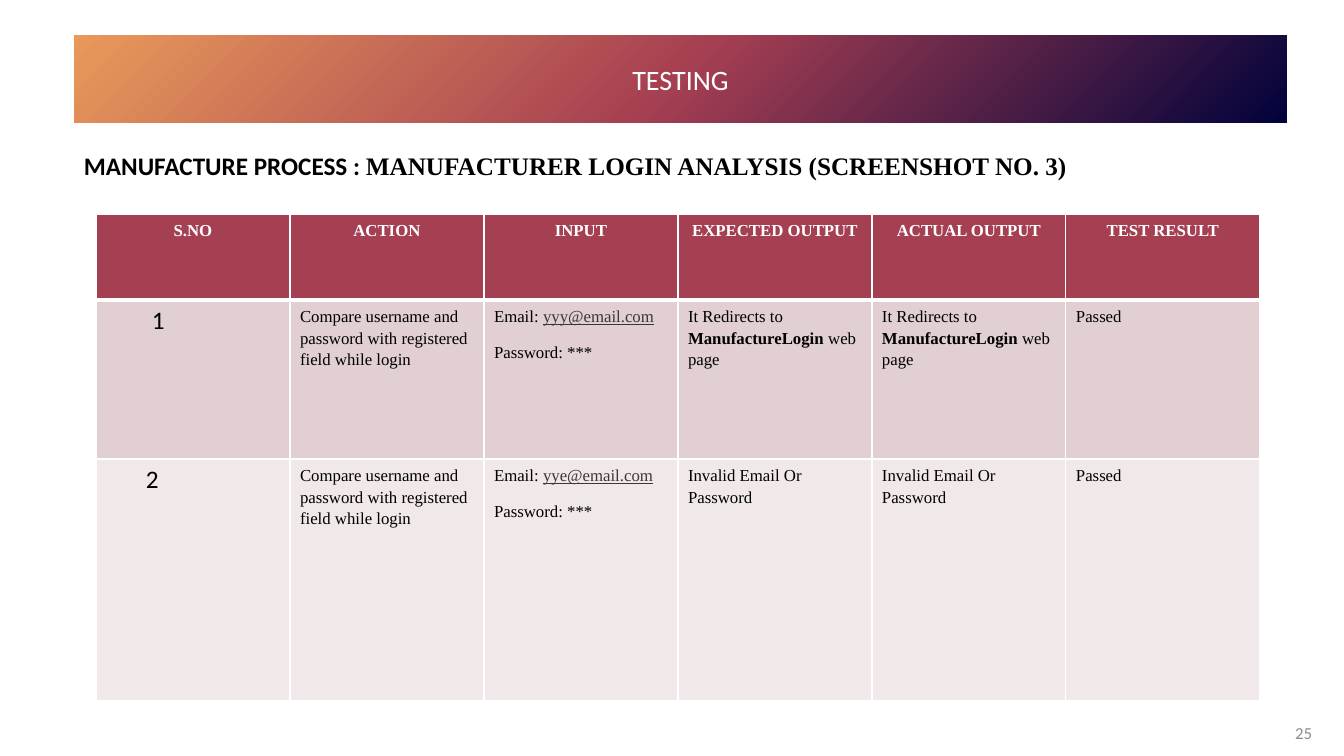
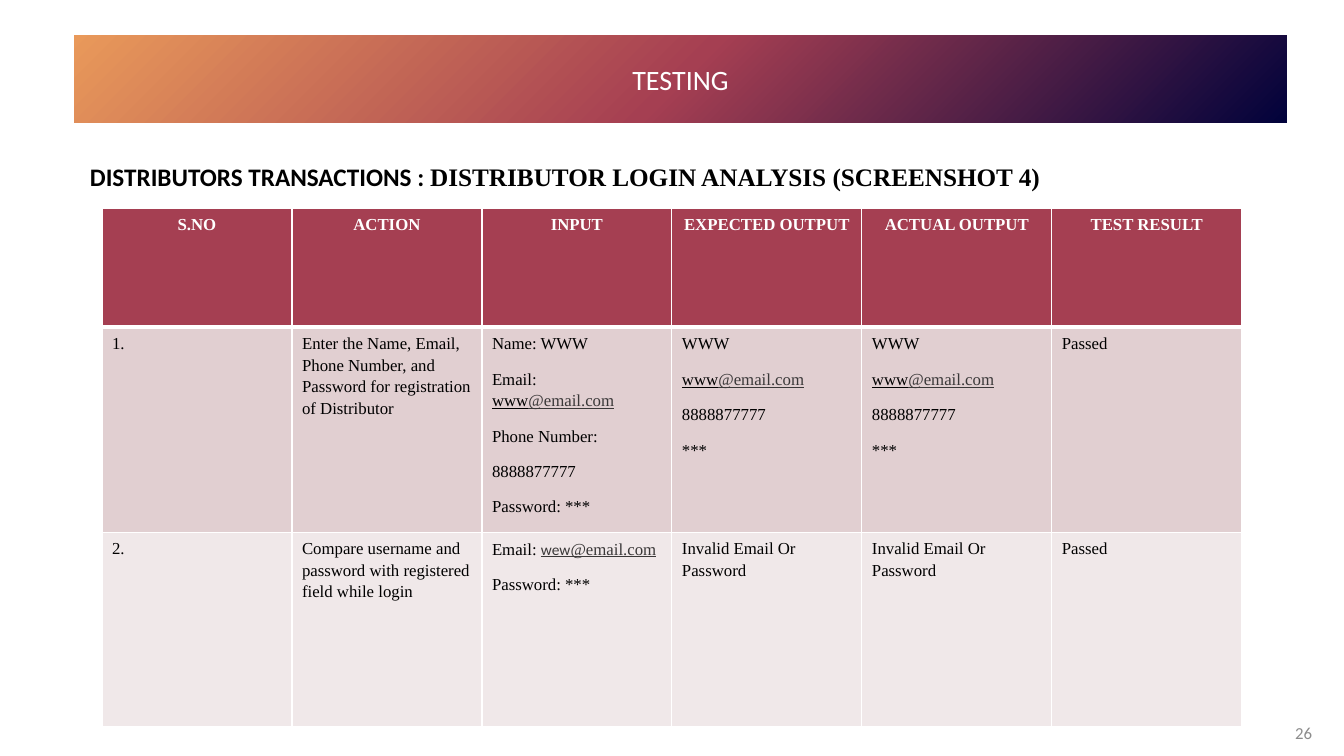
from pptx import Presentation
from pptx.dml.color import RGBColor
from pptx.enum.text import MSO_ANCHOR, PP_ALIGN
from pptx.oxml import parse_xml
from pptx.oxml.ns import nsdecls
from pptx.util import Pt

CENTER, LEFT, RIGHT = PP_ALIGN.CENTER, PP_ALIGN.LEFT, PP_ALIGN.RIGHT
MIDDLE = MSO_ANCHOR.MIDDLE
TITLE_ONLY_LAYOUT = 5

EMU_PER_PX = 914400 / 100.8
SANS, SERIF = "Calibri", "Times New Roman"
BLACK, WHITE, GRAY, LINK_GRAY = "000000", "FFFFFF", "8C8C8C", "3A3838"
NAVY, CRIMSON, ORANGE = "01023B", "A53F52", "E9995A"
BODY_FILLS = ("E1CFD1", "F0E8E9")

HEADERS = ("S.NO", "ACTION", "INPUT", "EXPECTED OUTPUT", "ACTUAL OUTPUT", "TEST RESULT")
LINK = {"color": LINK_GRAY, "underline": True}
UNDERLINED = {"underline": True}
BOLD = {"bold": True}

# A cell is a list of paragraphs, a paragraph a list of (text, format) runs.
COMPARE = [[("Compare username and password with registered field while login", {})]]
PASSED = [[("Passed", {})]]
INVALID = [[("Invalid Email Or Password", {})]]
REDIRECTS = [[("It Redirects to ", {}), ("ManufactureLogin", BOLD), (" web page", {})]]
PASSWORD = [("Password: ***", {})]
DISTRIBUTOR_EMAIL = [("www", UNDERLINED), ("@email.com", LINK)]
DISTRIBUTOR_OUTPUT = [[("WWW", {})], DISTRIBUTOR_EMAIL, [("8888877777", {})], [("***", {})]]

MANUFACTURER_ROWS = [
    [[[("1", {})]], COMPARE, [[("Email: ", {}), ("yyy@email.com", LINK)], PASSWORD],
     REDIRECTS, REDIRECTS, PASSED],
    [[[("2", {})]], COMPARE, [[("Email: ", {}), ("yye@email.com", LINK)], PASSWORD],
     INVALID, INVALID, PASSED],
]
DISTRIBUTOR_ROWS = [
    [[[("1.", {})]],
     [[("Enter the Name, Email, Phone Number, and Password for registration of Distributor", {})]],
     [[("Name: WWW", {})], [("Email: ", {})] + DISTRIBUTOR_EMAIL, [("Phone Number:", {})],
      [("8888877777", {})], PASSWORD],
     DISTRIBUTOR_OUTPUT, DISTRIBUTOR_OUTPUT, PASSED],
    [[[("2.", {})]], COMPARE,
     [[("Email: ", {}), ("wew", {**LINK, "name": SANS, "size": 11}), ("@email.com", LINK)],
      PASSWORD],
     INVALID, INVALID, PASSED],
]


def px(length):
    return round(length * EMU_PER_PX)


def rgb(color):
    return RGBColor.from_string(color)


def format_font(font, name=None, size=None, color=None, bold=None, underline=None):
    """Set only the font properties that are given."""
    if name:
        font.name = name
    if size:
        font.size = Pt(size)
    if color:
        font.color.rgb = rgb(color)
    if bold is not None:
        font.bold = bold
    if underline is not None:
        font.underline = underline


def write_paragraph(paragraph, runs, align=LEFT, **font_format):
    paragraph.alignment = align
    format_font(paragraph.font, **font_format)
    for text, run_format in runs:
        run = paragraph.add_run()
        run.text = text
        format_font(run.font, **run_format)


def add_title(slide, text):
    """Fill the title placeholder as the gradient band."""
    title = slide.shapes.title
    title.left, title.top, title.width, title.height = map(px, (74, 35, 1213, 88))
    stops = "".join(
        f'<a:gs pos="{position}"><a:srgbClr val="{color}"/></a:gs>'
        for position, color in ((0, NAVY), (50000, CRIMSON), (100000, ORANGE)))
    title.element.spPr.append(parse_xml(
        f'<a:gradFill {nsdecls("a")} rotWithShape="1"><a:gsLst>{stops}</a:gsLst>'
        '<a:path path="circle"><a:fillToRect l="100000" t="100000"/></a:path>'
        '<a:tileRect r="-100000" b="-100000"/></a:gradFill>'))
    title.text_frame.vertical_anchor = MIDDLE
    write_paragraph(title.text_frame.paragraphs[0], [(text, {})], CENTER,
                    name=SANS, size=20, color=WHITE)


def add_text(slide, box, runs, align=LEFT, anchor=None, **font_format):
    frame = slide.shapes.add_textbox(*map(px, box)).text_frame
    frame.word_wrap = True
    frame.vertical_anchor = anchor
    write_paragraph(frame.paragraphs[0], runs, align, **font_format)


def add_heading(slide, left, top, process, analysis):
    add_text(slide, (left, top, 1213, 40),
             [(process + " : ", {"name": SANS}), (analysis, {"name": SERIF})],
             size=18, color=BLACK, bold=True)


def style_cell(cell, fill, bottom_width=1):
    properties = cell._tc.get_or_add_tcPr()
    for side, width in (("L", 1), ("R", 1), ("T", 1), ("B", bottom_width)):
        properties.append(parse_xml(
            f'<a:ln{side} {nsdecls("a")} w="{Pt(width)}"><a:solidFill>'
            f'<a:srgbClr val="{WHITE}"/></a:solidFill></a:ln{side}>'))
    cell.fill.solid()
    cell.fill.fore_color.rgb = rgb(fill)


def write_cell(cell, paragraphs, align=LEFT, **font_format):
    frame = cell.text_frame
    for index, runs in enumerate(paragraphs):
        paragraph = frame.add_paragraph() if index else frame.paragraphs[0]
        paragraph.line_spacing = 1.15
        paragraph.space_after = Pt(10)
        write_paragraph(paragraph, runs, align,
                        **{"name": SERIF, "size": 12, "color": BLACK, "bold": False, **font_format})


def add_test_table(slide, left, top, column_width, row_heights, rows):
    frame = slide.shapes.add_table(
        len(row_heights), len(HEADERS), px(left), px(top),
        px(column_width * len(HEADERS)), px(sum(row_heights)))
    table = frame.table
    table.horz_banding = False
    for column in table.columns:
        column.width = px(column_width)
    for row, height in zip(table.rows, row_heights):
        row.height = px(height)
    for column, header in enumerate(HEADERS):
        cell = table.cell(0, column)
        style_cell(cell, CRIMSON, bottom_width=3)
        write_cell(cell, [[(header, {})]], CENTER, color=WHITE, bold=True)
    for row, (contents, fill) in enumerate(zip(rows, BODY_FILLS), start=1):
        for column, paragraphs in enumerate(contents):
            cell = table.cell(row, column)
            style_cell(cell, fill)
            write_cell(cell, paragraphs)
    return table


def enlarge_serial_numbers(table, indents):
    for row, indent in enumerate(indents, start=1):
        cell = table.cell(row, 0)
        cell.margin_left = px(indent)
        paragraph = cell.text_frame.paragraphs[0]
        paragraph.line_spacing = 1.0
        format_font(paragraph.font, name=SANS, size=18)


def add_testing_slide(presentation, number):
    slide = presentation.slides.add_slide(presentation.slide_layouts[TITLE_ONLY_LAYOUT])
    add_title(slide, "TESTING")
    add_text(slide, (1273, 713, 49, 40), [(str(number), {})], RIGHT, MIDDLE,
             name=SANS, size=12, color=GRAY)
    return slide


def main():
    presentation = Presentation()
    presentation.slide_width, presentation.slide_height = px(1344), px(756)

    slide = add_testing_slide(presentation, 25)
    add_heading(slide, 74, 145, "MANUFACTURE PROCESS",
                "MANUFACTURER LOGIN ANALYSIS (SCREENSHOT NO. 3)")
    table = add_test_table(slide, 96, 214, 194, (86, 159, 242), MANUFACTURER_ROWS)
    enlarge_serial_numbers(table, (56, 50))

    slide = add_testing_slide(presentation, 26)
    add_heading(slide, 80, 156, "DISTRIBUTORS TRANSACTIONS",
                "DISTRIBUTOR LOGIN ANALYSIS (SCREENSHOT 4)")
    add_test_table(slide, 102, 208, 190, (119, 194, 194), DISTRIBUTOR_ROWS)

    presentation.save("out.pptx")


if __name__ == "__main__":
    main()
